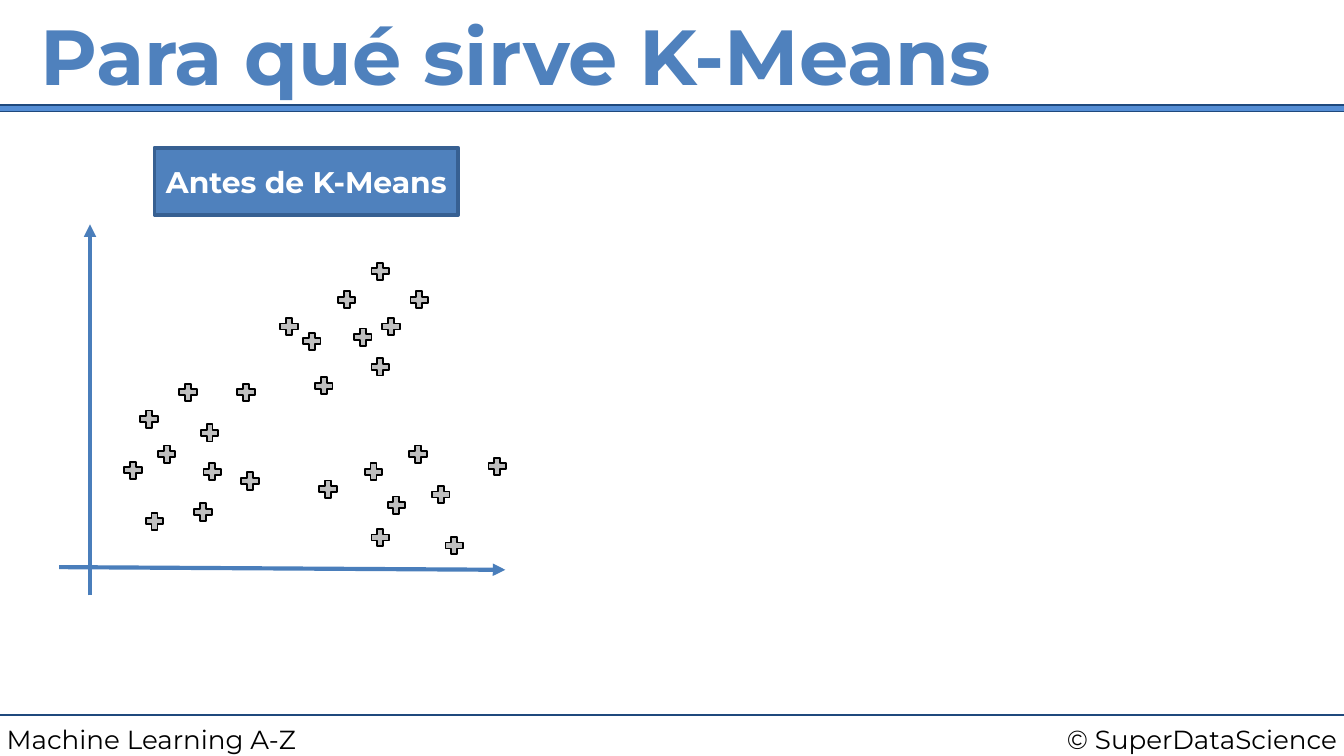
from lxml import etree
from pptx import Presentation
from pptx.dml.color import RGBColor
from pptx.enum.shapes import MSO_CONNECTOR, MSO_SHAPE
from pptx.enum.text import MSO_ANCHOR, PP_ALIGN
from pptx.oxml.ns import qn
from pptx.util import Inches, Pt

STRAIGHT = MSO_CONNECTOR.STRAIGHT
RECTANGLE, CROSS = MSO_SHAPE.RECTANGLE, MSO_SHAPE.CROSS
MIDDLE = MSO_ANCHOR.MIDDLE
LEFT, CENTER, RIGHT = PP_ALIGN.LEFT, PP_ALIGN.CENTER, PP_ALIGN.RIGHT

NAVY = RGBColor(0x1F, 0x49, 0x7D)
BAND_BLUE = RGBColor(0x55, 0x8E, 0xD5)
ACCENT = RGBColor(0x4F, 0x81, 0xBD)
LABEL_EDGE = RGBColor(0x37, 0x60, 0x92)
AXIS_BLUE = RGBColor(0x4A, 0x7E, 0xBB)
GRAY = RGBColor(0xBF, 0xBF, 0xBF)
BLACK = RGBColor(0, 0, 0)
WHITE = RGBColor(0xFF, 0xFF, 0xFF)

FONT = "Montserrat"
WIDTH = 10
HEIGHT = WIDTH * 9 / 16
INSET = 0.05
MARK_SIZE = 0.13
FOOTER_TOP, FOOTER_HEIGHT = 5.33, 0.34

LEFT_CLUSTER = [
    (0.99, 3.5), (1.24, 3.38), (1.56, 3.22), (1.11, 3.12), (1.4, 2.92),
    (1.58, 3.51), (1.83, 2.92), (1.51, 3.81), (1.86, 3.58), (1.15, 3.88),
]
TOP_CLUSTER = [
    (2.41, 2.87), (2.15, 2.43), (2.83, 2.73), (2.32, 2.54), (2.7, 2.51),
    (2.58, 2.23), (2.91, 2.43), (2.83, 2.02), (3.12, 2.23),
]
RIGHT_CLUSTER = [
    (3.11, 3.38), (3.28, 3.68), (2.95, 3.76), (2.44, 3.64), (3.38, 4.06),
    (2.83, 4), (2.78, 3.51), (3.7, 3.47),
]


def write(shape, text, size, color, bold=False, align=LEFT):
    frame = shape.text_frame
    frame.word_wrap = False
    frame.vertical_anchor = MIDDLE
    frame.margin_left = frame.margin_right = Inches(INSET)
    frame.margin_top = frame.margin_bottom = Inches(INSET)
    para = frame.paragraphs[0]
    para.text = text
    para.alignment = align
    para.font.name = FONT
    para.font.size = Pt(size)
    para.font.bold = bold
    para.font.color.rgb = color


def add_text(page, area, text, size, color, bold=False, align=LEFT):
    box = page.shapes.add_textbox(*map(Inches, area))
    write(box, text, size, color, bold, align)


def add_shape(page, kind, area, fill, edge, edge_width):
    shape = page.shapes.add_shape(kind, *map(Inches, area))
    shape.shadow.inherit = False
    shape.fill.solid()
    shape.fill.fore_color.rgb = fill
    shape.line.color.rgb = edge
    shape.line.width = Pt(edge_width)
    return shape


def add_line(page, start, end, color, width, arrow=False):
    line = page.shapes.add_connector(STRAIGHT, *map(Inches, (*start, *end)))
    line.line.color.rgb = color
    line.line.width = Pt(width)
    properties = line._element.spPr
    if arrow:
        outline = properties.find(qn("a:ln"))
        etree.SubElement(outline, qn("a:tailEnd"), type="triangle")
    etree.SubElement(properties, qn("a:effectLst"))


def add_mark(page, x, y):
    area = (x - MARK_SIZE / 2, y - MARK_SIZE / 2, MARK_SIZE, MARK_SIZE)
    mark = add_shape(page, CROSS, area, GRAY, BLACK, 1)
    mark.adjustments[0] = 0.33


def add_frame(page):
    add_line(page, (0, 5.32), (WIDTH, 5.32), NAVY, 1.5)
    add_text(page, (7.08, FOOTER_TOP, 2.92, FOOTER_HEIGHT),
             "© SuperDataScience", 14, BLACK, align=RIGHT)
    add_text(page, (0, FOOTER_TOP, 3.25, FOOTER_HEIGHT),
             "Machine Learning A-Z", 14, BLACK)
    add_shape(page, RECTANGLE, (-0.04, 0.78, WIDTH + 0.08, 0.05),
              BAND_BLUE, NAVY, 0.75)
    add_text(page, (0.25, 0, 0.95 * WIDTH, 0.81),
             "Para qué sirve K-Means", 41.8, ACCENT, bold=True)


def add_scatter(page):
    add_line(page, (0.67, 4.43), (0.67, 1.67), AXIS_BLUE, 2.25, arrow=True)
    add_line(page, (0.44, 4.22), (3.76, 4.24), AXIS_BLUE, 2.25, arrow=True)
    for x, y in LEFT_CLUSTER + TOP_CLUSTER + RIGHT_CLUSTER:
        add_mark(page, x, y)
    label = add_shape(page, RECTANGLE, (1.15, 1.1, 2.26, 0.5),
                      ACCENT, LABEL_EDGE, 2)
    write(label, "Antes de K-Means", 16, WHITE, bold=True, align=CENTER)


def main():
    deck = Presentation()
    deck.slide_width, deck.slide_height = Inches(WIDTH), Inches(HEIGHT)
    page = deck.slides.add_slide(deck.slide_layouts[6])
    add_frame(page)
    add_scatter(page)
    deck.save("out.pptx")


if __name__ == "__main__":
    main()
